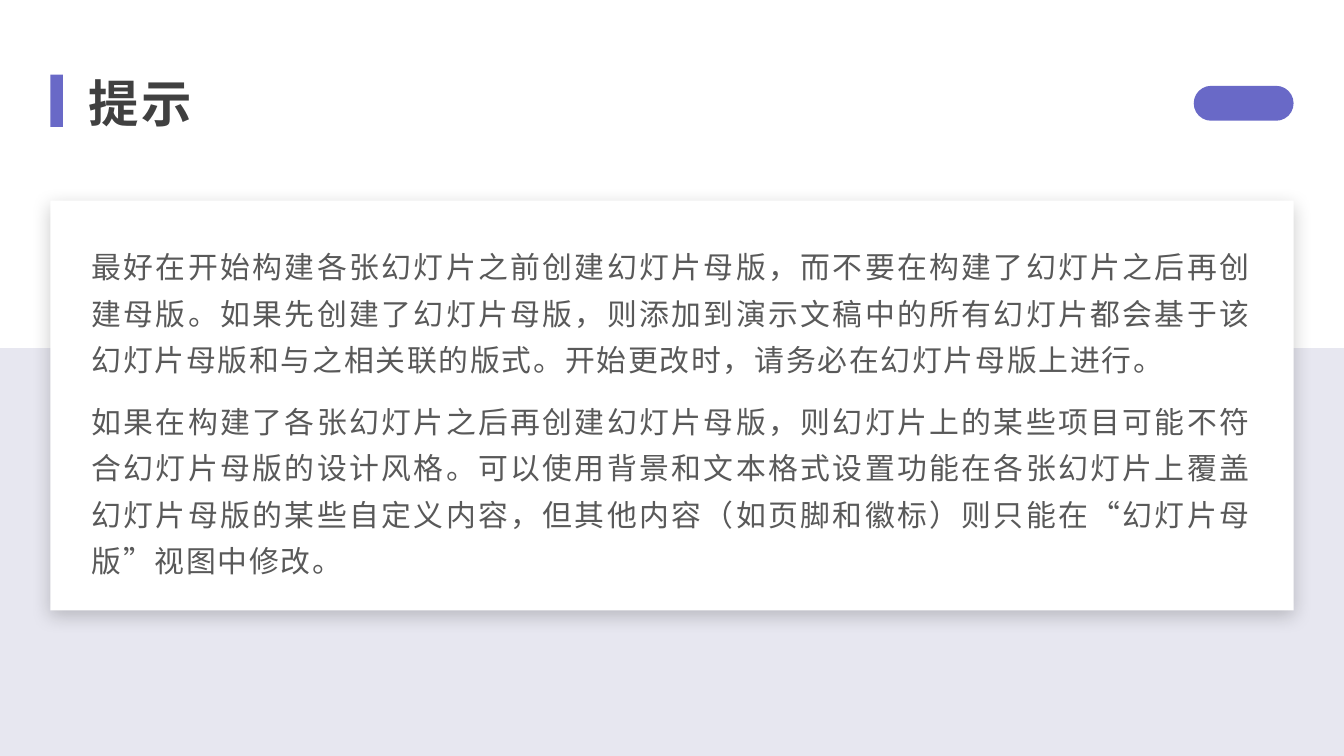
from lxml import etree
from pptx import Presentation
from pptx.dml.color import RGBColor
from pptx.enum import shapes, text
from pptx.oxml import ns
from pptx.util import Pt

FONT = "Noto Sans CJK SC"
ACCENT = "6969C7"
TITLE = "提示"
TIPS = [
    "最好在开始构建各张幻灯片之前创建幻灯片母版，而不要在构建了幻灯片之后再创建母版。"
    "如果先创建了幻灯片母版，则添加到演示文稿中的所有幻灯片都会基于该幻灯片母版和与之相关联的版式。"
    "开始更改时，请务必在幻灯片母版上进行。",
    "如果在构建了各张幻灯片之后再创建幻灯片母版，则幻灯片上的某些项目可能不符合幻灯片母版的设计风格。"
    "可以使用背景和文本格式设置功能在各张幻灯片上覆盖幻灯片母版的某些自定义内容，"
    "但其他内容（如页脚和徽标）则只能在“幻灯片母版”视图中修改。",
]


def color(value):
    return RGBColor.from_string(value)


def child(parent, tag, **attributes):
    return etree.SubElement(parent, ns.qn(tag), attributes)


def add_block(page, box, fill, kind=shapes.MSO_SHAPE.RECTANGLE):
    shape = page.shapes.add_shape(kind, *map(Pt, box))
    shape.shadow.inherit = False
    shape.fill.solid()
    shape.fill.fore_color.rgb = color(fill)
    shape.line.fill.background()
    return shape


def add_soft_shadow(shape):
    effects = shape._element.spPr.find(ns.qn("a:effectLst"))
    shadow = child(effects, "a:outerShdw", blurRad=str(Pt(10)), dist=str(Pt(3)),
                   dir="5400000", algn="t", rotWithShape="0")
    child(child(shadow, "a:srgbClr", val="000000"), "a:alpha", val="20000")


def place_text(page, holder, box, anchor):
    """Move a placeholder to a box, in front of the shapes drawn so far."""
    page.shapes._spTree.append(holder._element)
    holder.left, holder.top, holder.width, holder.height = map(Pt, box)
    frame = holder.text_frame
    frame.word_wrap = True
    frame.auto_size = text.MSO_AUTO_SIZE.NONE
    frame.vertical_anchor = anchor
    return frame


def style_paragraph(para, size, fill, spacing, bold=False):
    properties = para._p.get_or_add_pPr()
    properties.set("marL", "0")
    properties.set("indent", "0")
    para.space_before = Pt(0)
    child(properties, "a:buNone")
    font = para.font
    font.size, font.bold, font.name = Pt(size), bold, FONT
    font.color.rgb = color(fill)
    font._element.set("spc", str(int(spacing * 100)))
    child(font._element, "a:ea", typeface=FONT)


def add_header(page, left, top, width, height):
    # Pill at the right edge, accent bar at the left edge
    pill = add_block(page, (left + width - 53.5, top + 10, 53.5, 19 - 0.3), ACCENT,
                     shapes.MSO_SHAPE.ROUNDED_RECTANGLE)
    pill.adjustments[0] = 0.5
    add_block(page, (left, top + 4, 6.75, 28), ACCENT)
    # Title
    frame = place_text(page, page.shapes.title, (left + 13, top, 569.5, height),
                       text.MSO_ANCHOR.MIDDLE)
    frame.text = TITLE
    para = frame.paragraphs[0]
    para.alignment = text.PP_ALIGN.LEFT
    style_paragraph(para, 27, "404040", 1.5, bold=True)


def add_card(page, left, top, width, height):
    # White panel with a soft shadow
    add_soft_shadow(add_block(page, (left, top, width, height), "FFFFFF"))
    # Tips
    margin = 18
    frame = place_text(page, page.placeholders[1],
                       (left + margin, top + margin, width - 2 * margin, 148.5),
                       text.MSO_ANCHOR.TOP)
    frame.margin_left = frame.margin_right = Pt(4)
    frame.margin_top = frame.margin_bottom = Pt(2)
    frame.text = "\n".join(TIPS)
    for para in frame.paragraphs:
        para.alignment = text.PP_ALIGN.JUSTIFY
        para.line_spacing = 1.3
        para.space_after = Pt(8)
        style_paragraph(para, 16, "595959", 1)


def main():
    deck = Presentation()
    deck.slide_width, deck.slide_height = Pt(720), Pt(405)
    page = deck.slides.add_slide(deck.slide_layouts[1])
    # Tinted lower band
    add_block(page, (0, 186.5, 720, 218.5), "E7E7F0")
    add_card(page, 27, 107.5, 666, 219.5)
    add_header(page, 27, 36, 666, 38)
    deck.save("out.pptx")


if __name__ == "__main__":
    main()
